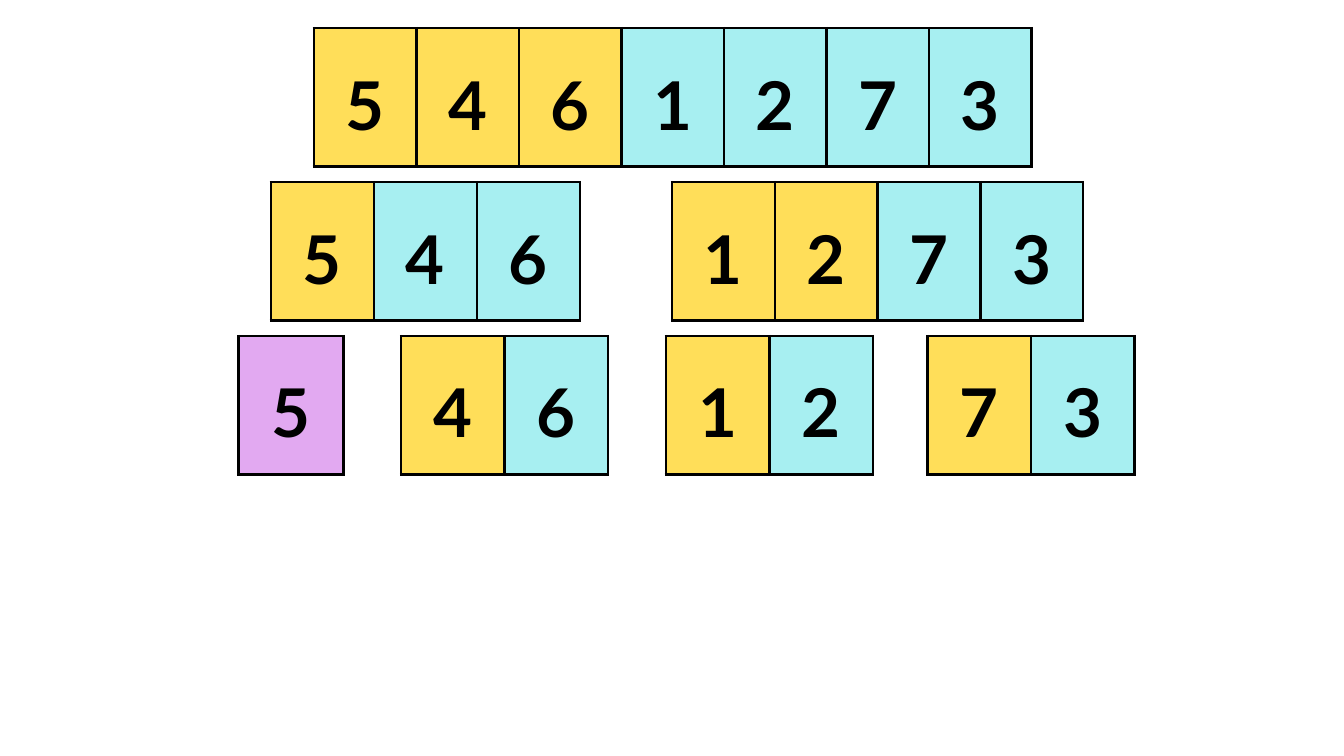
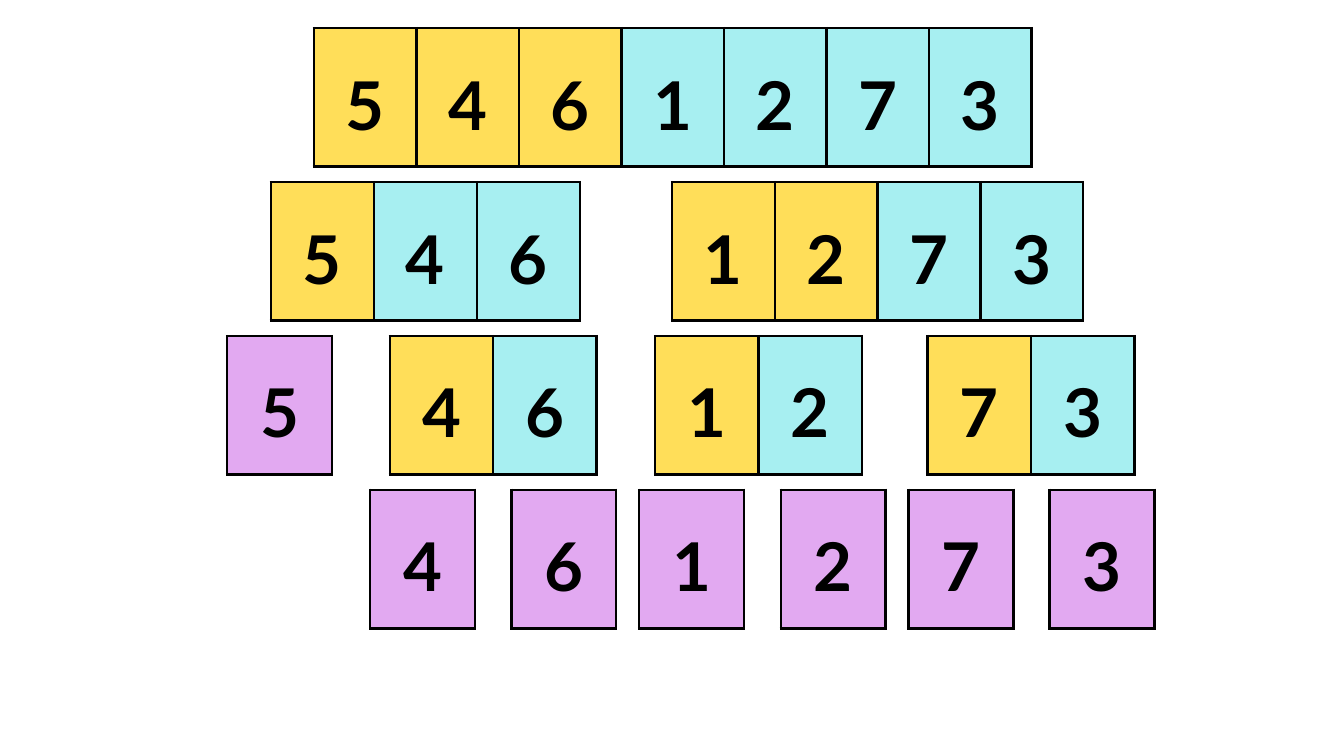
from lxml.etree import SubElement
from pptx import Presentation
from pptx.dml.color import RGBColor
from pptx.enum.text import MSO_ANCHOR, PP_ALIGN
from pptx.oxml.ns import qn
from pptx.util import Emu, Pt

# Each level of the merge sort is a list of (left edge, digits).
UPPER_LEVELS = [
    [(467, "5461273")],
    [(403, "546"), (1000, "1273")],
]
SLIDES = [
    UPPER_LEVELS + [
        [(355, "5"), (597, "46"), (991, "12"), (1380, "73")],
    ],
    UPPER_LEVELS + [
        [(338, "5"), (580, "46"), (975, "12"), (1380, "73")],
        [(551, "4"), (761, "6"), (951, "1"), (1162, "2"), (1352, "7"), (1562, "3")],
    ],
]

PX = 9144  # 100 px to the inch
SLIDE_WIDTH, SLIDE_HEIGHT = 2000, 1125
FIRST_TOP, LEVEL_PITCH = 42, 229
CELL_WIDTH, CELL_HEIGHT, OUTER_BORDER = 152, 206, 4
CELL_MARGIN = 21
BORDER_POINTS = 3

LEFT_HALF, RIGHT_HALF, SINGLE = "FFDE59", "A7EFF1", "E2A9F1"
BLACK = "000000"


def px(length):
    return Emu(round(length * PX))


def color(value):
    return RGBColor.from_string(value)


CELL_FORMAT = {
    "vertical_anchor": MSO_ANCHOR.MIDDLE,
    **{f"margin_{side}": px(CELL_MARGIN) for side in ("left", "right", "top", "bottom")},
}
PARAGRAPH_FORMAT = {"alignment": PP_ALIGN.CENTER, "line_spacing": Pt(100.8)}
FONT_FORMAT = {"name": "Lato", "size": Pt(72), "bold": True}


def apply_format(target, values):
    for name, value in values.items():
        setattr(target, name, value)


def half_color(index, count):
    """Colour a cell by the half it will be split into."""
    if count == 1:
        return SINGLE
    return LEFT_HALF if index < count // 2 else RIGHT_HALF


def add_borders(cell):
    properties = cell._tc.get_or_add_tcPr()
    for side in ("L", "R", "T", "B"):
        line = SubElement(properties, qn(f"a:ln{side}"), w=str(Pt(BORDER_POINTS)))
        fill = SubElement(line, qn("a:solidFill"))
        SubElement(fill, qn("a:srgbClr"), val=BLACK)


def format_cell(cell, digit, fill_color):
    apply_format(cell, CELL_FORMAT)
    add_borders(cell)
    cell.fill.solid()
    cell.fill.fore_color.rgb = color(fill_color)
    paragraph = cell.text_frame.paragraphs[0]
    apply_format(paragraph, PARAGRAPH_FORMAT)
    run = paragraph.add_run()
    run.text = digit
    apply_format(run.font, FONT_FORMAT)
    run.font.color.rgb = color(BLACK)


def add_array(slide, left, top, digits):
    count = len(digits)
    width = CELL_WIDTH * count + OUTER_BORDER
    table = slide.shapes.add_table(
        1, count, px(left), px(top), px(width), px(CELL_HEIGHT)
    ).table
    apply_format(table, {"first_row": False, "horz_banding": False})
    for index, digit in enumerate(digits):
        table.columns[index].width = px(width / count)
        format_cell(table.cell(0, index), digit, half_color(index, count))


def main():
    presentation = Presentation()
    presentation.slide_width = px(SLIDE_WIDTH)
    presentation.slide_height = px(SLIDE_HEIGHT)
    for levels in SLIDES:
        slide = presentation.slides.add_slide(presentation.slide_layouts[6])
        for depth, arrays in enumerate(levels):
            for left, digits in arrays:
                add_array(slide, left, FIRST_TOP + depth * LEVEL_PITCH, digits)
    presentation.save("out.pptx")


if __name__ == "__main__":
    main()
